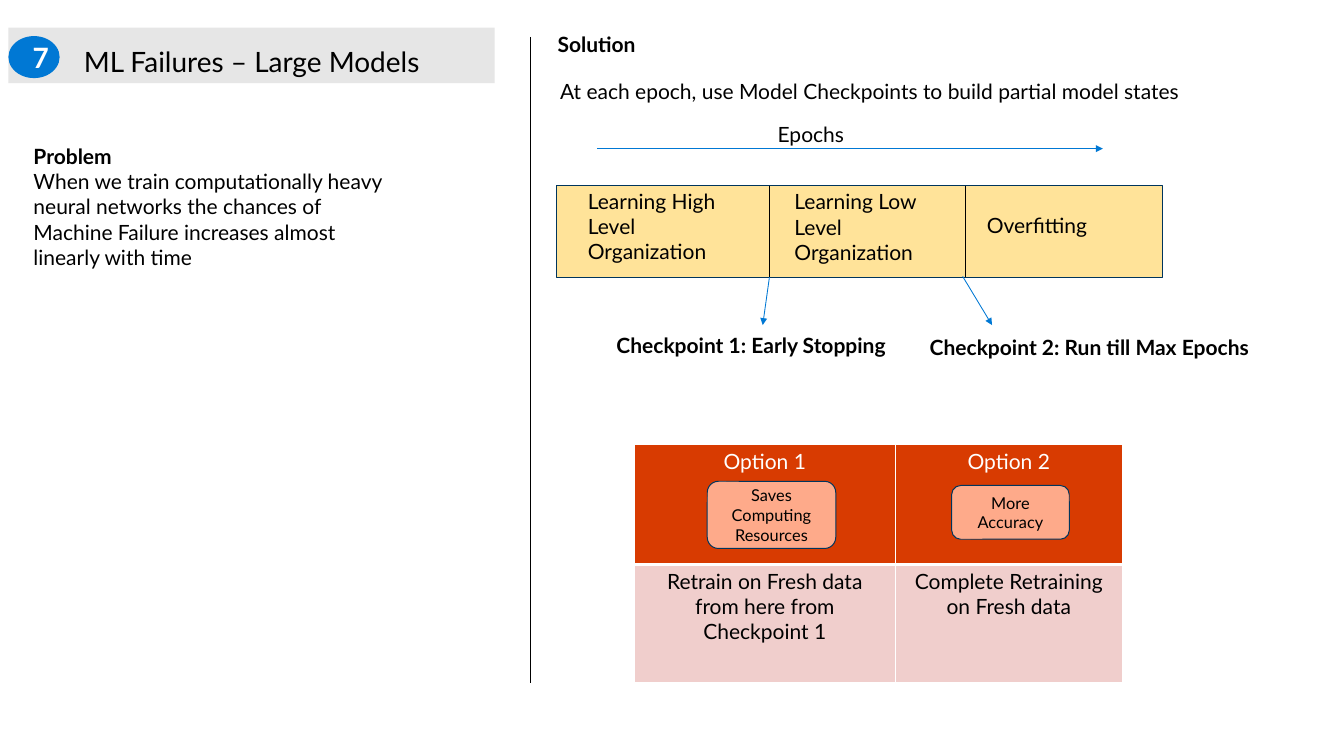
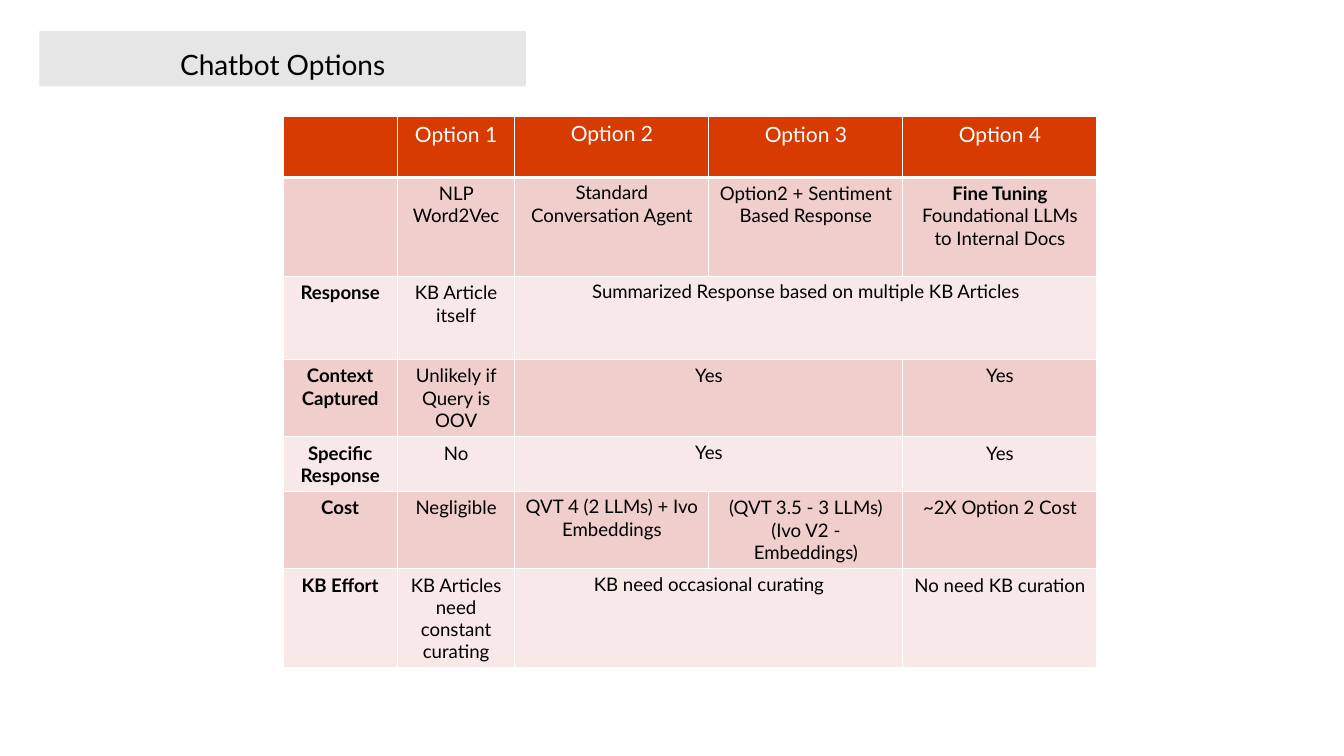
"""Build two slides on failures of large models and on chatbot options."""
from pptx import Presentation
from pptx import util as u
from pptx.dml.color import RGBColor
from pptx.enum import shapes, text
from pptx.oxml import parse_xml
from pptx.oxml.ns import nsdecls, qn

FONT = "Lato"
BLACK, WHITE, BLUE, NAVY = "000000", "FFFFFF", "0078D4", "00355D"
GREY, YELLOW, SALMON = "E6E6E6", "FFE399", "FEAA8A"
HEADER, BANDS = "D83B01", ("F0CECC", "F8E8E7")
WIDE = (0.12, 0.06)
NARROW = (0.1, 0.05)


def rgb(value):
    """Return a colour from a hex string."""
    return RGBColor.from_string(value)


def write(tf, content, size=18, color=BLACK, align=text.PP_ALIGN.LEFT):
    """Fill a text frame; lines are paragraphs and *starred* parts are bold."""
    for i, line in enumerate(content.split("\n")):
        p = tf.add_paragraph() if i else tf.paragraphs[0]
        p.alignment = align
        for j, part in enumerate(line.split("*")):
            if part:
                r = p.add_run()
                r.text = part
                r.font.name, r.font.size = FONT, u.Pt(size)
                r.font.bold = j % 2 == 1
                r.font.color.rgb = rgb(color)


def add_text(s, x, y, w, h, content):
    """Add a wrapped text box."""
    tf = s.shapes.add_textbox(*map(u.Inches, (x, y, w, h))).text_frame
    tf.word_wrap = True
    write(tf, content)


def add_box(s, kind, box, fill, line=None, content="", size=14, color=BLACK, inset=NARROW):
    """Add a filled shape with centred text and return it."""
    sp = s.shapes.add_shape(kind, *map(u.Inches, box))
    sp.shadow.inherit = False
    sp.fill.solid()
    sp.fill.fore_color.rgb = rgb(fill)
    if line:
        sp.line.color.rgb = rgb(line)
        sp.line.width = u.Pt(0.85)
    else:
        sp.line.fill.background()
    tf = sp.text_frame
    tf.word_wrap = True
    tf.vertical_anchor = text.MSO_ANCHOR.MIDDLE
    tf.margin_left = tf.margin_right = u.Inches(inset[0])
    tf.margin_top = tf.margin_bottom = u.Inches(inset[1])
    write(tf, content, size, color, text.PP_ALIGN.CENTER)
    return sp


def add_line(s, x1, y1, x2, y2, color=BLACK, arrow=False):
    """Add a thin straight line, with an arrowhead at its end if asked."""
    c = s.shapes.add_connector(shapes.MSO_CONNECTOR.STRAIGHT, *map(u.Inches, (x1, y1, x2, y2)))
    c.line.color.rgb = rgb(color)
    c.line.width = u.Pt(0.75)
    if arrow:
        c.line._get_or_add_ln().append(parse_xml(f'<a:tailEnd {nsdecls("a")} type="triangle"/>'))
    c._element.spPr.append(parse_xml(f'<a:effectLst {nsdecls("a")}/>'))


def add_title(s, x, y, title):
    """Add the grey title band."""
    sp = add_box(s, shapes.MSO_SHAPE.RECTANGLE, (x, y, 5.79, 0.66), GREY,
                 content=title, size=24, inset=WIDE)
    sp.text_frame.vertical_anchor = text.MSO_ANCHOR.BOTTOM
    sp.text_frame.paragraphs[0].line_spacing = 0.9


def style_cell(cell, row, inset):
    """Give a cell its white borders, band fill and margins."""
    tc_pr = cell._tc.get_or_add_tcPr()
    for side in ("lnL", "lnR", "lnT", "lnB"):
        width = u.Pt(3 if row == 0 and side == "lnB" else 1)
        tc_pr.append(parse_xml(
            f'<a:{side} {nsdecls("a")} w="{width}"><a:solidFill>'
            f'<a:srgbClr val="{WHITE}"/></a:solidFill></a:{side}>'))
    cell.fill.solid()
    cell.fill.fore_color.rgb = rgb(BANDS[(row - 1) % 2] if row else HEADER)
    cell.margin_left = cell.margin_right = u.Inches(inset[0])
    cell.margin_top = cell.margin_bottom = u.Inches(inset[1])


def add_options(s, x, y, widths, heights, rows, size, narrow):
    """Add an options table, where None widens the cell on its left."""
    frame = s.shapes.add_table(len(rows), len(widths), *map(u.Inches, (x, y, sum(widths), sum(heights))))
    table = frame.table
    table.first_row = table.horz_banding = False
    for column, width in zip(table.columns, widths):
        column.width = u.Inches(width)
    for row, height in zip(table.rows, heights):
        row.height = u.Inches(height)
    for i, row in enumerate(rows):
        for j, content in enumerate(row):
            cell = table.cell(i, j)
            style_cell(cell, i, NARROW if j in narrow else WIDE)
            if content:
                write(cell.text_frame, content, size if i else 18,
                      BLACK if i else WHITE, text.PP_ALIGN.CENTER)
            if content is not None:
                end = j
                while end + 1 < len(row) and row[end + 1] is None:
                    end += 1
                if end > j:
                    cell.merge(table.cell(i, end))


def add_timeline(s, x, y):
    """Draw the epochs bar with its phases and checkpoints."""
    add_box(s, shapes.MSO_SHAPE.RECTANGLE, (x, y, 7.22, 1.09), YELLOW, NAVY)
    for dx in (2.54, 4.87):
        add_line(s, x + dx, y, x + dx, y + 1.09)
    for dx, dy, w, h, label in (
            (0.28, -0.02, 2.18, 1.01, "Learning High Level Organization"),
            (2.74, -0.01, 2.18, 1.01, "Learning Low Level Organization"),
            (5.03, 0.27, 2.18, 0.4, "Overfitting"),
            (2.54, -0.81, 1.58, 0.4, "Epochs"),
            (0.62, 1.7, 3.68, 0.4, "*Checkpoint 1: Early Stopping*"),
            (4.35, 1.72, 4.56, 0.4, "*Checkpoint 2: Run till Max Epochs*")):
        add_text(s, x + dx, y + dy, w, h, label)
    for x1, y1, x2, y2 in ((0.49, -0.44, 6.51, -0.44), (2.54, 1.09, 2.46, 1.66), (4.84, 1.08, 5.19, 1.66)):
        add_line(s, x + x1, y + y1, x + x2, y + y2, BLUE, True)


def add_retraining(s, x, y):
    """Draw the retraining table with a benefit in each header."""
    add_options(s, x, y, (3.11, 2.7), (1.43, 1.41), (
        ("Option 1", "Option 2"),
        ("Retrain on Fresh data from here from Checkpoint 1", "Complete Retraining on Fresh data"),
    ), 18, (0, 1))
    for dx, dy, w, h, label in ((0.87, 0.44, 1.53, 0.8, "Saves Computing Resources"),
                                (3.78, 0.49, 1.4, 0.64, "More Accuracy")):
        add_box(s, shapes.MSO_SHAPE.ROUNDED_RECTANGLE, (x + dx, y + dy, w, h), SALMON, NAVY, label)


def failures_slide(s):
    """Fill the slide on failures of large models."""
    add_title(s, 0.1, 0.33, "ML Failures – Large Models")
    add_box(s, shapes.MSO_SHAPE.OVAL, (0.1, 0.43, 0.61, 0.5), BLUE,
            content="*7*", size=24, color=WHITE, inset=(0.2, 0.16))
    add_text(s, 0.3, 1.66, 4.62, 1.62, "*Problem*\nWhen we train computationally heavy neural networks "
             "the chances of Machine Failure increases almost linearly with time")
    add_line(s, 6.31, 0.44, 6.31, 8.13)
    add_text(s, 6.54, 0.33, 8.3, 0.4, "*Solution*")
    add_text(s, 6.57, 0.89, 8, 0.4, "At each epoch, use Model Checkpoints to build partial model states")
    add_timeline(s, 6.62, 2.21)
    add_retraining(s, 7.55, 5.29)


def chatbot_slide(s):
    """Fill the slide that compares chatbot options."""
    add_title(s, 0.47, 0.37, "Chatbot Options")
    add_options(s, 3.37, 1.39, (1.36, 1.4, 2.31, 2.31, 2.31), (0.72, 1.18, 0.99, 0.92, 0.65, 0.92, 1.18), (
        ("", "Option 1", "Option 2", "Option 3", "Option 4"),
        ("", "NLP Word2Vec", "Standard Conversation Agent", "Option2 + Sentiment Based Response",
         "*Fine Tuning *Foundational LLMs to Internal Docs"),
        ("*Response*", "KB Article itself", "Summarized Response based on multiple KB Articles", None, None),
        ("*Context Captured*", "Unlikely if Query is OOV", "Yes", None, "Yes"),
        ("*Specific Response*", "No", "Yes", None, "Yes"),
        ("*Cost*", "Negligible", "QVT 4 (2 LLMs) + Ivo Embeddings",
         "(QVT 3.5 - 3 LLMs)\n(Ivo V2 - Embeddings)", "~2X Option 2 Cost"),
        ("*KB Effort*", "KB Articles need constant curating", "KB need occasional curating", None,
         "No need KB curation"),
    ), 16, (2,))


def main():
    """Build and save the presentation."""
    prs = Presentation()
    prs.slide_width, prs.slide_height = u.Inches(16), u.Inches(9)
    for fill_slide in (failures_slide, chatbot_slide):
        fill_slide(prs.slides.add_slide(prs.slide_layouts[6]))
    prs.save("out.pptx")


if __name__ == "__main__":
    main()
